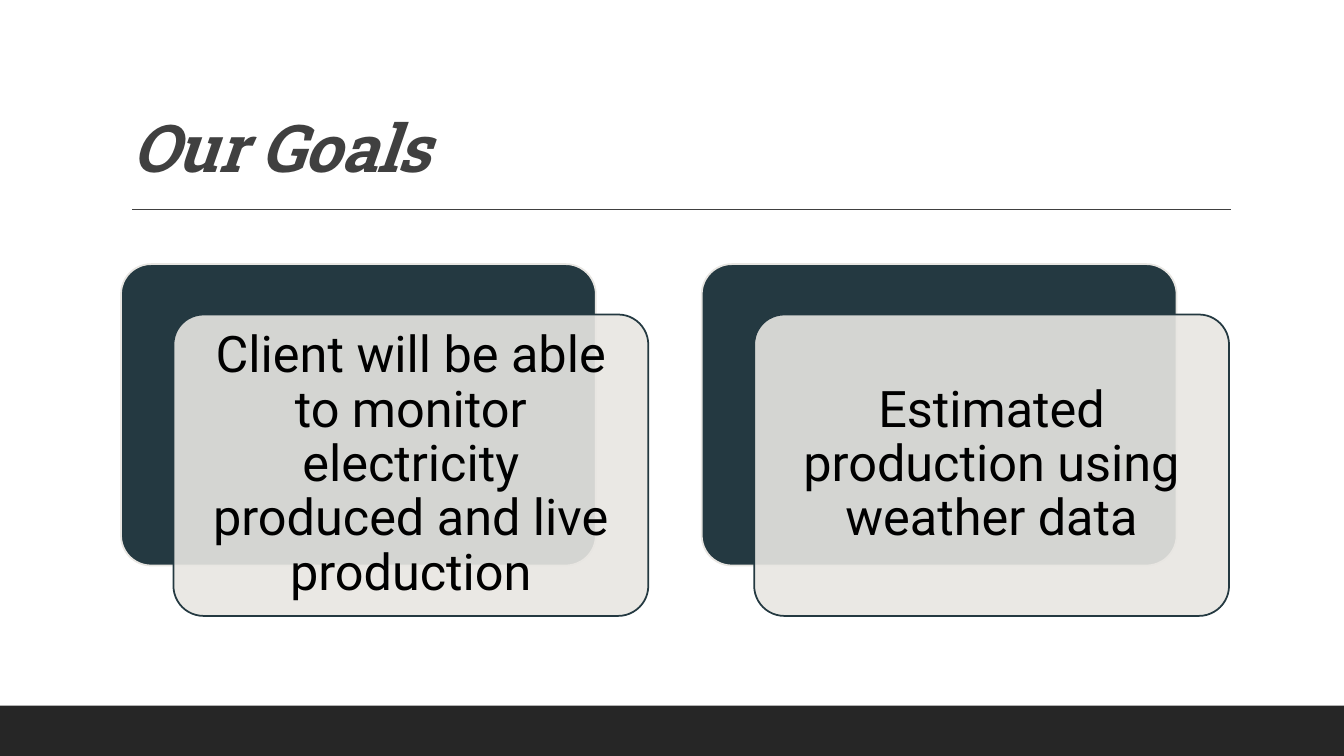
from lxml import etree
from pptx import Presentation
from pptx.dml.color import RGBColor
from pptx.enum.shapes import MSO_CONNECTOR, MSO_SHAPE
from pptx.enum.text import MSO_ANCHOR, PP_ALIGN
from pptx.oxml.ns import qn
from pptx.util import Pt

PX = 9144
SLIDE_W, SLIDE_H = 1333, 750
RECT, ROUNDED = MSO_SHAPE.RECTANGLE, MSO_SHAPE.ROUNDED_RECTANGLE
STRAIGHT = MSO_CONNECTOR.STRAIGHT
MIDDLE, BOTTOM = MSO_ANCHOR.MIDDLE, MSO_ANCHOR.BOTTOM
LEFT, CENTER = PP_ALIGN.LEFT, PP_ALIGN.CENTER

TEAL = RGBColor(0x24, 0x39, 0x41)
SAND = RGBColor(0xE8, 0xE6, 0xE2)
CHARCOAL = RGBColor(0x26, 0x26, 0x26)
GRAY = RGBColor(0x40, 0x40, 0x40)
BLACK = RGBColor(0, 0, 0)

TITLE_FONT = {"name": "Roboto Slab", "size": Pt(47), "bold": True, "italic": True}
GOAL_FONT = {"name": "Roboto", "size": Pt(36)}
GOALS = [
    "Client will be able to monitor electricity produced and live production",
    "Estimated production using weather data",
]


def px(*lengths):
    """Turn px lengths into EMU."""
    return [n * PX for n in lengths]


def write(tf, text, font, color, align):
    """Write one formatted paragraph and return its run."""
    tf.word_wrap = True
    p = tf.paragraphs[0]
    p.alignment, p.line_spacing = align, 0.9
    r = p.add_run()
    r.text = text
    for name, value in font.items():
        setattr(r.font, name, value)
    r.font.color.rgb = color
    return r


def add_panel(s, kind, box, fill, line=None):
    """Draw a flat filled shape, outlined if a line colour is given."""
    sp = s.shapes.add_shape(kind, *px(*box))
    sp.shadow.inherit = False
    sp.fill.solid()
    sp.fill.fore_color.rgb = fill
    if line is None:
        sp.line.fill.background()
    else:
        sp.line.color.rgb = line
        sp.line.width = Pt(1.25)
    return sp


def add_heading(s, box):
    """Place the title in its box and the rule beneath it."""
    x, y, w, h = box
    title = s.shapes.title
    title.left, title.top, title.width, title.height = px(*box)
    tf = title.text_frame
    tf.vertical_anchor = BOTTOM
    r = write(tf, "Our Goals", TITLE_FONT, GRAY, LEFT)
    r.font._element.set("spc", "-50")
    rule_y = y + h + 18
    rule = s.shapes.add_connector(STRAIGHT, *px(x + 11, rule_y, x + w + 1, rule_y))
    rule.line.color.rgb = GRAY
    rule.line.width = Pt(1)
    etree.SubElement(rule._element.spPr, qn("a:effectLst"))


def add_goal(s, box, text):
    """Draw a dark card with a translucent text card offset over it."""
    x, y, w, h = box
    dx, dy = 52, 50
    back = add_panel(s, ROUNDED, (x, y, w - dx, h - dy), TEAL, SAND)
    front = add_panel(s, ROUNDED, (x + dx, y + dy, w - dx, h - dy), SAND, TEAL)
    for card in (back, front):
        card.adjustments[0] = 0.1
    color = front._element.spPr.find(qn("a:solidFill"))[0]
    etree.SubElement(color, qn("a:alpha"), val="90000")
    tf = front.text_frame
    tf.vertical_anchor = MIDDLE
    for side in ("left", "top", "right", "bottom"):
        setattr(tf, f"margin_{side}", 15 * PX)
    write(tf, text, GOAL_FONT, BLACK, CENTER)


def add_goals(s, box, gap):
    """Share the box equally among the goals, left to right."""
    x, y, w, h = box
    card_w = (w - gap * (len(GOALS) - 1)) // len(GOALS)
    for i, text in enumerate(GOALS):
        add_goal(s, (x + i * (card_w + gap), y, card_w, h), text)


def main():
    """Build and save the slide."""
    prs = Presentation()
    prs.slide_width, prs.slide_height = px(SLIDE_W, SLIDE_H)
    s = prs.slides.add_slide(prs.slide_layouts[5])
    add_panel(s, RECT, (0, 700, SLIDE_W, 50), CHARCOAL)
    add_heading(s, (120, 31, 1100, 159))
    add_goals(s, (120, 262, 1100, 349), 53)
    prs.save("out.pptx")


if __name__ == "__main__":
    main()
